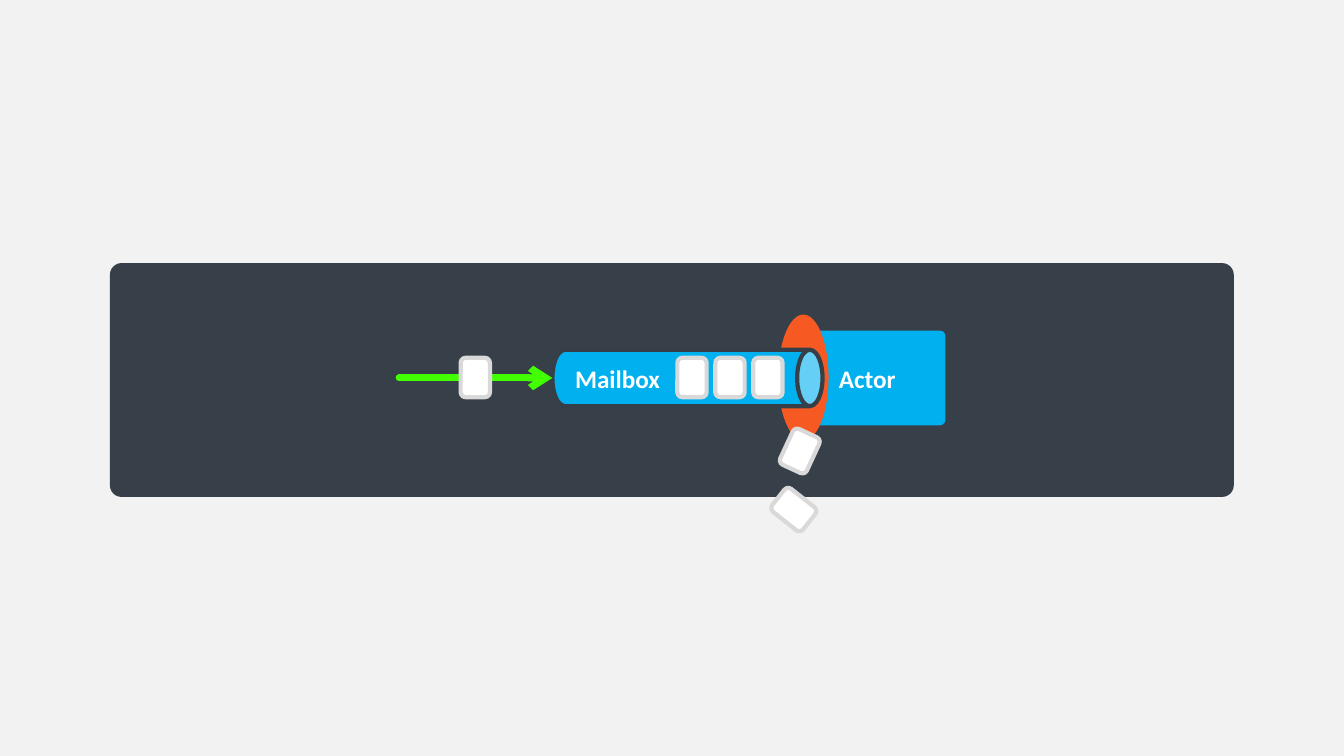
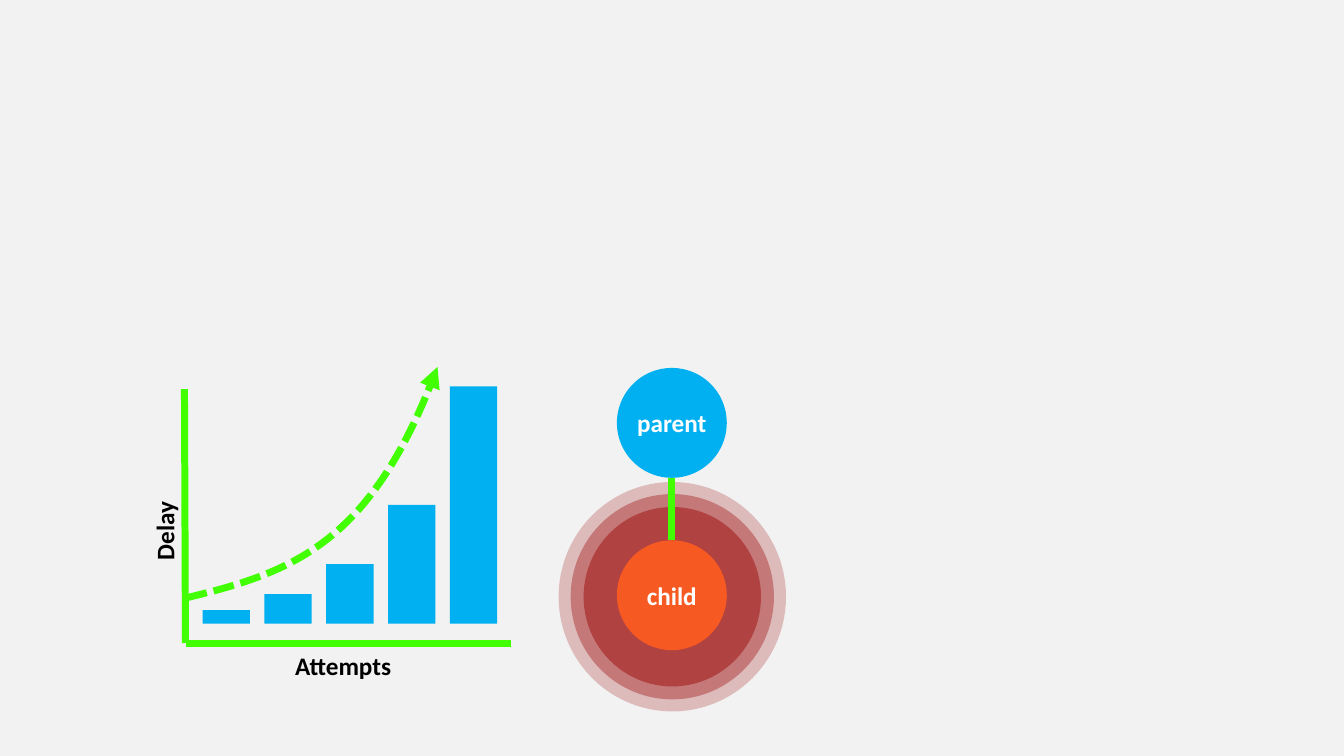
from dataclasses import dataclass

from lxml import etree
from pptx import Presentation
from pptx import util as u
from pptx.dml.color import RGBColor
from pptx.enum import dml, shapes, text
from pptx.oxml import ns
from pptx.shapes.autoshape import Shape
from pptx.shapes.connector import Connector
from pptx.slide import Slide

COLUMNS, ROWS = 40, 22.5
CELL = u.Inches(7.5) / ROWS

BACKDROP = RGBColor(0xF2, 0xF2, 0xF2)
SLATE = RGBColor(0x37, 0x3F, 0x48)
SLATE_EDGE = RGBColor(0x36, 0x3F, 0x48)
BLUE = RGBColor(0x00, 0xB0, 0xEF)
BRIGHT_BLUE = RGBColor(0x00, 0xB0, 0xF0)
ORANGE = RGBColor(0xF6, 0x5A, 0x22)
GREEN = RGBColor(0x42, 0xFF, 0x02)
RED = RGBColor(0xB0, 0x42, 0x42)
GREY = RGBColor(0xD9, 0xD9, 0xD9)
WHITE = RGBColor(0xFF, 0xFF, 0xFF)
BLACK = RGBColor(0x00, 0x00, 0x00)

FONT = "Calibri"
STROKE = 5
KIND = shapes.MSO_SHAPE
LEFT, CENTER = text.PP_ALIGN.LEFT, text.PP_ALIGN.CENTER


@dataclass(frozen=True)
class Box:
    col: float
    row: float
    cols: float
    rows: float
    turn: float = 0


@dataclass(frozen=True)
class Ring:
    weight: float
    opacity: int
    fill: RGBColor | None


@dataclass(frozen=True)
class Node:
    name: str
    row: float
    fill: RGBColor


@dataclass(frozen=True)
class AxisLabel:
    name: str
    box: Box


Point = tuple[float, float]

MESSAGE_COLS, MESSAGE_ROWS, MESSAGE_ROW = 0.87, 1.17, 10.65
QUEUE_START, QUEUE_STEP, QUEUE_LENGTH = 20.16, 1.13, 3
SENT_MESSAGE = Box(13.71, MESSAGE_ROW, MESSAGE_COLS, MESSAGE_ROWS)
QUEUE = [Box(QUEUE_START + i * QUEUE_STEP, MESSAGE_ROW, MESSAGE_COLS, MESSAGE_ROWS)
         for i in range(QUEUE_LENGTH)]
DROPPED = [Box(23.37, 12.84, MESSAGE_COLS, MESSAGE_ROWS, 24.8),
           Box(23.19, 14.58, MESSAGE_COLS, MESSAGE_ROWS, 308.2)]

FAILURE = Box(17.37, 15.09, 5.28, 5.34)
RINGS = [Ring(18.5, 54, RED), Ring(35.75, 31, None)]
NODE_COL, NODE_SIZE = 18.36, 3.27
CHILD = Node("child", 16.08, ORANGE)
PARENT = Node("parent", 10.95, BRIGHT_BLUE)

DELAYS = [0.4, 0.88, 1.77, 3.53, 7.06]
BAR_START, BAR_STEP, BAR_COLS, BAR_FLOOR = 6.03, 1.84, 1.41, 18.56
AXES = [((5.49, 11.58), (5.52, 19.14)), ((5.55, 19.14), (15.21, 19.14))]
GROWTH = [(5.55, 17.79), (8.85, 17.01), (11.1, 16.08), (13.02, 10.92)]
GROWTH_STEPS = 40
AXIS_LABELS = [AxisLabel("Attempts", Box(8.43, 19.2, 3.93, 1.23)),
               AxisLabel("Delay", Box(3.03, 14.55, 3.72, 1.23, 270))]


def grid(cells: float) -> u.Emu:
    return u.Emu(round(cells * CELL))


def add_part(slide: Slide, kind: KIND, box: Box, fill: RGBColor | None = None,
             edge: RGBColor | None = None, weight: float = 0,
             rounding: float | None = None) -> Shape:
    part = slide.shapes.add_shape(
        kind, grid(box.col), grid(box.row), grid(box.cols), grid(box.rows))
    part.rotation = box.turn
    part.shadow.inherit = False
    if rounding is not None:
        part.adjustments[0] = rounding
    if fill is None:
        part.fill.background()
    else:
        part.fill.solid()
        part.fill.fore_color.rgb = fill
    if edge is None:
        part.line.fill.background()
    else:
        part.line.color.rgb = edge
        part.line.width = u.Pt(weight)
    return part


def write(part: Shape, words: str, *, color: RGBColor = WHITE, size: float = 18,
          bold: bool = True, align: text.PP_ALIGN = CENTER, wrap: bool = True) -> None:
    frame = part.text_frame
    frame.word_wrap = wrap
    frame.vertical_anchor = text.MSO_ANCHOR.MIDDLE
    paragraph = frame.paragraphs[0]
    paragraph.alignment = align
    run = paragraph.add_run()
    run.text = words
    run.font.name = FONT
    run.font.size = u.Pt(size)
    run.font.bold = bold
    run.font.color.rgb = color


def add_arrowhead(stroke: Shape | Connector, style: str) -> None:
    etree.SubElement(stroke.get_or_add_ln(), ns.qn("a:tailEnd"), type=style)


def connect(slide: Slide, start: Point, end: Point,
            kind: shapes.MSO_CONNECTOR = shapes.MSO_CONNECTOR.STRAIGHT) -> Connector:
    link = slide.shapes.add_connector(kind, *map(grid, start + end))
    link.line.color.rgb = GREEN
    link.line.width = u.Pt(STROKE)
    etree.SubElement(link.get_or_add_ln().getparent(), ns.qn("a:effectLst"))
    return link


def add_message(slide: Slide, box: Box) -> None:
    add_part(slide, KIND.ROUNDED_RECTANGLE, box, WHITE, GREY, 3)


def add_node(slide: Slide, node: Node) -> Shape:
    circle = add_part(slide, KIND.OVAL, Box(NODE_COL, node.row, NODE_SIZE, NODE_SIZE), node.fill)
    write(circle, node.name, wrap=False)
    return circle


def add_ring(slide: Slide, ring: Ring) -> None:
    circle = add_part(slide, KIND.OVAL, FAILURE, ring.fill, RED, ring.weight)
    color = circle.get_or_add_ln().find(".//" + ns.qn("a:srgbClr"))
    etree.SubElement(color, ns.qn("a:alpha"), val=str(ring.opacity * 1000))


def bezier(controls: list[Point], t: float) -> Point:
    weights = ((1 - t) ** 3, 3 * t * (1 - t) ** 2, 3 * t ** 2 * (1 - t), t ** 3)
    return (sum(w * x for w, (x, _) in zip(weights, controls)),
            sum(w * y for w, (_, y) in zip(weights, controls)))


def add_growth_curve(slide: Slide) -> None:
    points = [tuple(map(grid, bezier(GROWTH, i / GROWTH_STEPS)))
              for i in range(GROWTH_STEPS + 1)]
    builder = slide.shapes.build_freeform(*points[0])
    builder.add_line_segments(points[1:], close=False)
    curve = builder.convert_to_shape()
    curve.shadow.inherit = False
    curve.fill.background()
    curve.line.color.rgb = GREEN
    curve.line.width = u.Pt(STROKE)
    curve.line.dash_style = dml.MSO_LINE.SQUARE_DOT
    add_arrowhead(curve, "triangle")


def add_slide(deck) -> Slide:
    slide = deck.slides.add_slide(deck.slide_layouts[6])
    slide.background.fill.solid()
    slide.background.fill.fore_color.rgb = BACKDROP
    return slide


def build_mailbox(slide: Slide) -> None:
    add_part(slide, KIND.ROUNDED_RECTANGLE, Box(3.27, 7.83, 33.45, 6.96), SLATE, rounding=0.05)
    actor = add_part(slide, KIND.ROUNDED_RECTANGLE, Box(23.49, 9.84, 4.65, 2.82), BLUE,
                     rounding=0.06)
    write(actor, "Actor")
    add_part(slide, KIND.OVAL, Box(23.16, 9.36, 1.5, 3.75), ORANGE)
    mailbox = add_part(slide, KIND.CAN, Box(19.62, 7.23, 1.68, 8.04, 90), BLUE,
                       SLATE_EDGE, 3, rounding=0.45)
    write(mailbox, "Mailbox", align=LEFT)
    mailbox.element.find(".//" + ns.qn("a:bodyPr")).set("vert", "vert270")
    delivery = connect(slide, (11.88, 11.25), (16.44, 11.25), shapes.MSO_CONNECTOR.ELBOW)
    delivery.get_or_add_ln().set("cap", "rnd")
    add_arrowhead(delivery, "arrow")
    for box in [*QUEUE, SENT_MESSAGE, *DROPPED]:
        add_message(slide, box)


def build_backoff(slide: Slide) -> None:
    for ring in RINGS:
        add_ring(slide, ring)
    child = add_node(slide, CHILD)
    add_node(slide, PARENT)
    middle = NODE_COL + NODE_SIZE / 2
    supervision = connect(slide, (middle, PARENT.row + NODE_SIZE), (middle, CHILD.row))
    supervision.end_connect(child, 0)
    for i, delay in enumerate(DELAYS):
        add_part(slide, KIND.RECTANGLE,
                 Box(BAR_START + i * BAR_STEP, BAR_FLOOR - delay, BAR_COLS, delay), BRIGHT_BLUE)
    add_growth_curve(slide)
    for start, end in AXES:
        connect(slide, start, end)
    for label in AXIS_LABELS:
        caption = add_part(slide, KIND.ROUNDED_RECTANGLE, label.box)
        write(caption, label.name, color=BLACK, align=LEFT)


def main() -> None:
    deck = Presentation()
    deck.slide_width, deck.slide_height = grid(COLUMNS), grid(ROWS)
    for build in (build_mailbox, build_backoff):
        build(add_slide(deck))
    deck.save("out.pptx")


if __name__ == "__main__":
    main()
